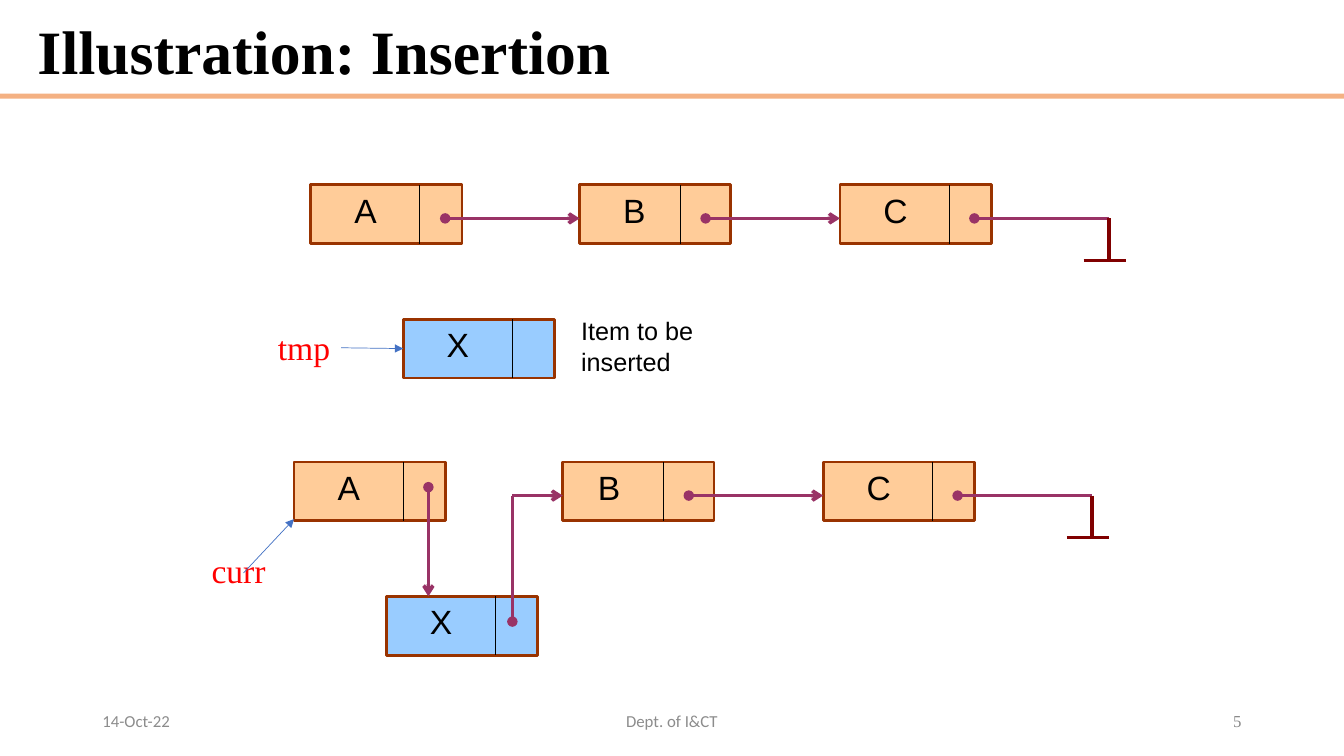
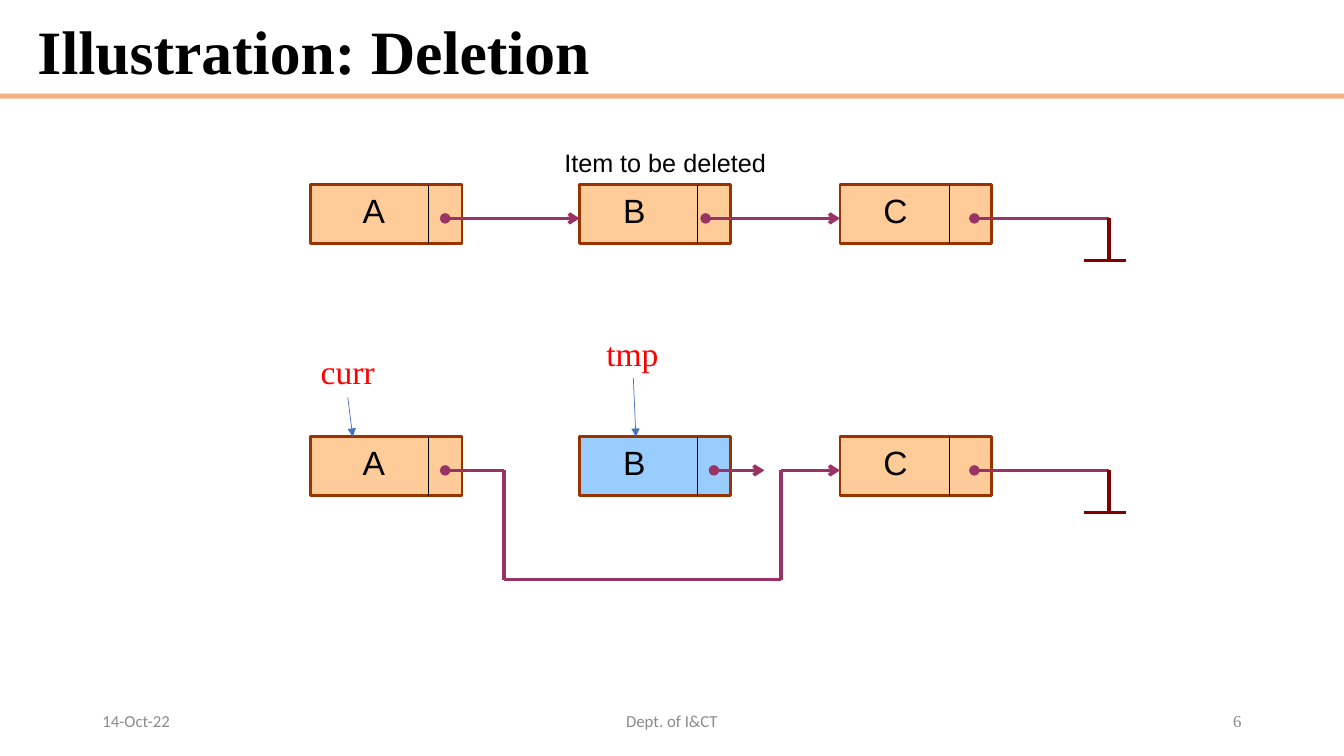
from itertools import pairwise

from lxml import etree
from pptx import Presentation
from pptx.dml.color import RGBColor
from pptx.enum.shapes import MSO_CONNECTOR, MSO_SHAPE
from pptx.enum.text import MSO_ANCHOR, PP_ALIGN
from pptx.oxml.ns import qn
from pptx.util import Emu, Pt

STRAIGHT = MSO_CONNECTOR.STRAIGHT
RECTANGLE = MSO_SHAPE.RECTANGLE
TOP, MIDDLE = MSO_ANCHOR.TOP, MSO_ANCHOR.MIDDLE
LEFT, CENTER, RIGHT = PP_ALIGN.LEFT, PP_ALIGN.CENTER, PP_ALIGN.RIGHT
LEFT_SIDE = 1

CELL = 76200
COLUMNS, ROWS = 160, 90
NODE_WIDTH, NODE_HEIGHT = 18, 7
LINK_DROP = 4
TITLE_ONLY = 5

COLORS = {
    "band": "F4B183", "black": "000000", "footer": "8C8C8C", "number": "898989",
    "node": "FFCC99", "marked": "99CCFF", "border": "993300", "link": "993366",
    "ground": "800000", "pointer": "4472C4", "variable": "FF0000",
}


def cells(*counts):
    """Convert grid counts to lengths."""
    return [Emu(round(count * CELL)) for count in counts]


def color(name):
    """Look up a palette color."""
    return RGBColor.from_string(COLORS[name])


def write(frame, text, *, size=24, font="Arial", ink="black", bold=False,
          align=LEFT, anchor=TOP, spacing=None, wrap=True):
    """Put formatted text into a text frame."""
    frame.word_wrap = wrap
    frame.vertical_anchor = anchor
    paragraph = frame.paragraphs[0]
    paragraph.alignment = align
    paragraph.line_spacing = spacing
    run = paragraph.add_run()
    run.text = text
    run.font.size = Pt(size)
    run.font.name = font
    run.font.bold = bold
    run.font.color.rgb = color(ink)


class ListDeck:
    """Draw linked-list slides on a grid of twelve cells per inch."""

    def __init__(self):
        """Start the presentation and its shared layout."""
        self.presentation = Presentation()
        self.presentation.slide_width, self.presentation.slide_height = cells(COLUMNS, ROWS)
        self.layout = self.presentation.slide_layouts[TITLE_ONLY]
        self.slide = None

    def add_slide(self, title, number):
        """Add a slide with its title and footer."""
        first = self.slide is None
        self.slide = self.presentation.slides.add_slide(self.layout)
        if first:
            band = self.rectangle(0, 11.16, COLUMNS, 0.6, "band")
            self.layout.shapes.element.append(band.element)
        heading = self.slide.shapes.title
        heading.left, heading.top, heading.width, heading.height = cells(3.24, 1.8, 145.8, 9.48)
        write(heading.text_frame, title, size=44, font="Times New Roman", bold=True,
              anchor=MIDDLE, spacing=0.9)
        footers = (
            ("14-Oct-22", 11, 36, LEFT, "Calibri", "footer"),
            ("Dept. of I&CT", 53, 54, CENTER, "Calibri", "footer"),
            (str(number), 113, 36, RIGHT, "Times New Roman", "number"),
        )
        for text, column, width, align, font, ink in footers:
            self.label(text, column, 83.4, width, 4.8, size=12, font=font, ink=ink,
                       align=align, anchor=MIDDLE)

    def rectangle(self, column, row, width, height, fill, border=None):
        """Draw a filled rectangle."""
        shape = self.slide.shapes.add_shape(RECTANGLE, *cells(column, row, width, height))
        shape.shadow.inherit = False
        shape.fill.solid()
        shape.fill.fore_color.rgb = color(fill)
        if border:
            shape.line.color.rgb = color(border)
            shape.line.width = Pt(2)
        else:
            shape.line.fill.background()
        return shape

    def label(self, text, column, row, width, height, **style):
        """Draw a text box."""
        box = self.slide.shapes.add_textbox(*cells(column, row, width, height))
        write(box.text_frame, text, **style)

    def line(self, start, end, ink, weight, head=None, tail=None):
        """Draw a straight line with optional ends."""
        connector = self.slide.shapes.add_connector(STRAIGHT, *cells(*start, *end))
        connector.line.color.rgb = color(ink)
        connector.line.width = Pt(weight)
        properties = connector.element.spPr
        outline = properties.find(qn("a:ln"))
        for tag, kind in (("a:headEnd", head), ("a:tailEnd", tail)):
            if kind:
                etree.SubElement(outline, qn(tag)).set("type", kind)
        etree.SubElement(properties, qn("a:effectLst"))
        return connector

    def link(self, *points, head="oval", tail="arrow"):
        """Draw a node link through the given points."""
        segments = list(pairwise(points))
        for index, (start, end) in enumerate(segments):
            self.line(start, end, "link", 2.5,
                      head=head if index == 0 else None,
                      tail=tail if index == len(segments) - 1 else None)

    def node(self, letter, column, row, divider=13, indent=4, fill="node"):
        """Draw a list node with a data field and a link field."""
        shape = self.rectangle(column, row, NODE_WIDTH, NODE_HEIGHT, fill, "border")
        split = column + divider
        self.line((split, row), (split, row + NODE_HEIGHT), "black", 0.75)
        self.label(letter, column + indent, row, 8, 6)
        return shape

    def ground(self, column, row):
        """Draw the end-of-list link and its ground symbol."""
        self.link((column - 16, row), (column, row), tail=None)
        self.line((column, row), (column, row + 5), "ground", 2.5)
        self.line((column - 3, row + 5), (column + 2, row + 5), "ground", 2.5)

    def variable(self, name, column, row, start, end, target=None):
        """Draw a named pointer and its arrow."""
        self.label(name, column, row, 8.8, 6, font="Times New Roman", ink="variable", wrap=False)
        arrow = self.line(start, end, "pointer", 0.5, tail="triangle")
        if target is not None:
            arrow.end_connect(target, LEFT_SIDE)

    def full_list(self, row, dividers, first_indent):
        """Draw the list A, B, C with all of its links."""
        for letter, column, divider, indent in zip(
                "ABC", (37, 69, 100), dividers, (first_indent, 4, 4)):
            self.node(letter, column, row, divider, indent)
        level = row + LINK_DROP
        self.link((53, level), (69, level))
        self.link((84, level), (100, level))
        self.ground(132, level)


def insertion(deck):
    """Build the insertion slide."""
    deck.add_slide("Illustration: Insertion", 5)
    deck.full_list(22, (13, 12, 13), 4)
    new_node = deck.node("X", 48, 38, fill="marked")
    deck.variable("tmp", 31.9, 38.3, (40.6, 41.4), (48, 41.5), new_node)
    deck.label("Item to be inserted", 68, 37, 22, 8.4, size=18)

    row = 55
    level = row + LINK_DROP
    deck.node("A", 35, row)
    deck.node("B", 67, row, divider=12, indent=3)
    deck.node("C", 98, row)
    deck.node("X", 46, 71, fill="marked")
    deck.link((51, 58), (51, 71))
    deck.link((61, 74), (61, level), (67, level))
    deck.link((82, level), (98, level))
    deck.ground(130, level)
    deck.variable("curr", 24, 64.9, (29, 68.2), (35, 61.8))


def deletion(deck):
    """Build the deletion slide."""
    deck.add_slide("Illustration: Deletion", 6)
    deck.full_list(22, (14, 14, 13), 5)
    deck.label("Item to be deleted", 66, 17, 33, 4.8, size=18)

    row = 52
    level = row + LINK_DROP
    deck.node("A", 37, row, divider=14, indent=5)
    deck.node("B", 69, row, divider=14, fill="marked")
    deck.node("C", 100, row)
    deck.link((53, level), (60, level), (60, 69), (93, 69), (93, level), (100, level))
    deck.link((85, level), (91, level))
    deck.ground(132, level)
    deck.variable("curr", 37, 41.2, (41.4, 47.3), (42, row))
    deck.variable("tmp", 71, 39, (75.4, 45), (75.7, row))


def main():
    """Build and save the presentation."""
    deck = ListDeck()
    insertion(deck)
    deletion(deck)
    deck.presentation.save("out.pptx")


if __name__ == "__main__":
    main()
